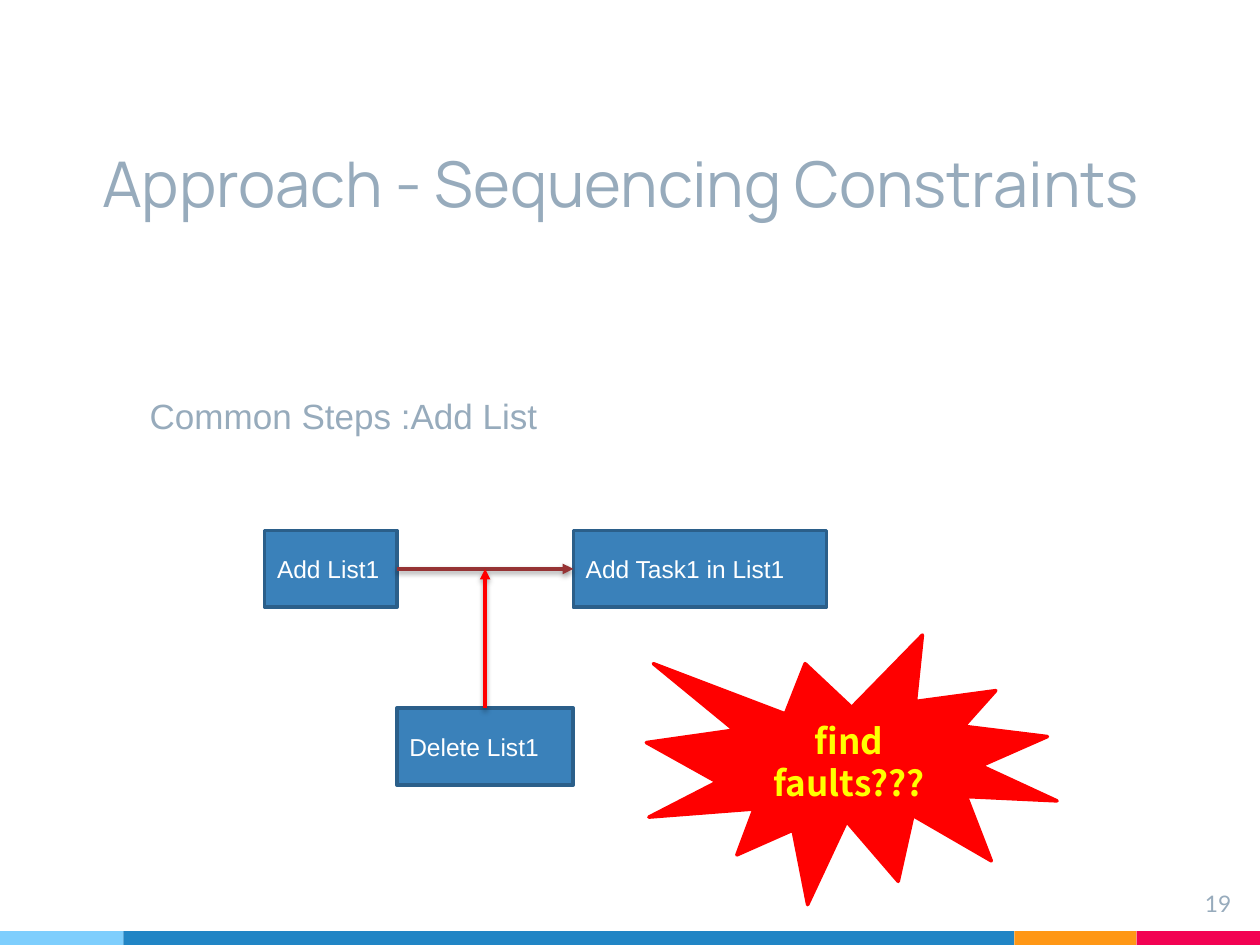
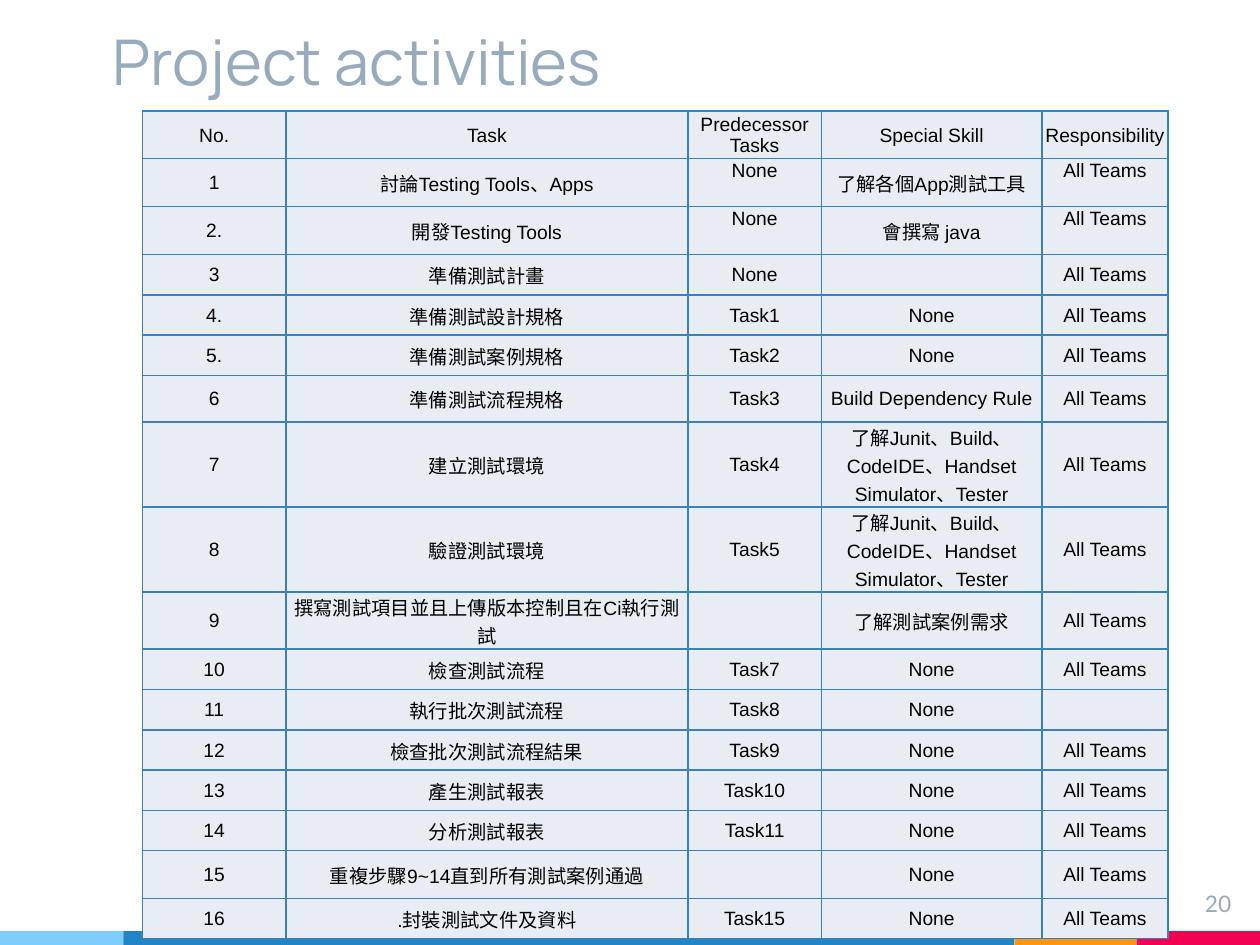
from lxml import etree
from pptx import Presentation
from pptx.dml.color import RGBColor
from pptx.enum.shapes import MSO_CONNECTOR, MSO_SHAPE
from pptx.enum.text import MSO_ANCHOR, MSO_AUTO_SIZE, PP_ALIGN
from pptx.oxml import parse_xml
from pptx.oxml.ns import nsdecls, qn
from pptx.util import Inches, Pt

RECT, BURST = MSO_SHAPE.RECTANGLE, MSO_SHAPE.EXPLOSION1
LEFT, CENTER, RIGHT = PP_ALIGN.LEFT, PP_ALIGN.CENTER, PP_ALIGN.RIGHT
TOP, MIDDLE, BOTTOM = MSO_ANCHOR.TOP, MSO_ANCHOR.MIDDLE, MSO_ANCHOR.BOTTOM

W, H = 10, 7.5
COLORS = {
    "grey": "97ABBC", "white": "FFFFFF", "black": "000000",
    "sky": "7ECEFD", "blue": "2185C5", "orange": "FF9715", "pink": "F20253",
    "box": "3A81BA", "box_line": "2B5F8A", "cell": "E8EDF3",
    "maroon": "963334", "red": "FF0000", "yellow": "FFFF00",
}
BAND_H = 0.11
BANDS = [("sky", 0.98), ("blue", 7.07), ("orange", 0.97), ("pink", 0.98)]


def write(tf, text, size, font, color, align=LEFT, bold=False):
    """Fill a text frame, one paragraph per line of text."""
    for i, line in enumerate(text.split("\n")):
        p = tf.add_paragraph() if i else tf.paragraphs[0]
        p.alignment = align
        r = p.add_run()
        r.text = line
        r.font.size, r.font.name, r.font.bold = Pt(size), font, bold
        r.font.color.rgb = RGBColor.from_string(COLORS[color])
        ea = etree.SubElement(r.font._element, qn("a:ea"))
        ea.set("typeface", "Noto Sans CJK SC")


def add_block(s, kind, x, y, w, h, fill, line=None):
    """Add a flat filled shape with an optional 2 pt outline."""
    sp = s.shapes.add_shape(kind, Inches(x), Inches(y), Inches(w), Inches(h))
    sp.shadow.inherit = False
    sp.fill.solid()
    sp.fill.fore_color.rgb = RGBColor.from_string(COLORS[fill])
    if line:
        sp.line.color.rgb = RGBColor.from_string(COLORS[line])
        sp.line.width = Pt(2)
    else:
        sp.line.fill.background()
    sp.text_frame.vertical_anchor = MIDDLE
    return sp


prs = Presentation()
prs.slide_width, prs.slide_height = Inches(W), Inches(H)

# Shared frame: bands, title and slide number
TITLES = [
    ("Approach - Sequencing Constraints", (0.71, 0.6, 9.04, 1.25)),
    ("Project activities", (0.79, 0.31, 8.94, 0.57)),
]
slides = []
for number, (title, place) in enumerate(TITLES, start=19):
    s = prs.slides.add_slide(prs.slide_layouts[5])
    slides.append(s)
    x = 0
    for color, width in BANDS:
        add_block(s, RECT, x, H - BAND_H, width, BAND_H, color)
        x += width

    sp = s.shapes.title
    sp.left, sp.top, sp.width, sp.height = map(Inches, place)
    write(sp.text_frame, title, 36, "Manrope", "grey")
    page = s.shapes.add_textbox(Inches(9.27), Inches(6.96), Inches(0.6), Inches(0.46))
    write(page.text_frame, str(number), 13, "Lato", "grey", RIGHT)
    for tf, anchor in ((sp.text_frame, BOTTOM), (page.text_frame, TOP)):
        tf.word_wrap, tf.auto_size, tf.vertical_anchor = True, MSO_AUTO_SIZE.NONE, anchor
        tf.margin_left = tf.margin_right = tf.margin_top = tf.margin_bottom = Inches(0.1)

# Slide 1: sequence of steps
s = slides[0]
sp = s.shapes.add_textbox(Inches(1.09), Inches(3.08), Inches(3.3), Inches(0.44))
sp.text_frame.word_wrap = False
sp.text_frame.auto_size = MSO_AUTO_SIZE.SHAPE_TO_FIT_TEXT
write(sp.text_frame, "Common Steps :Add List", 20, "Arial", "grey")

ROW_1, ROW_2, BOX_H = 4.21, 5.62, 0.61
STEPS = [
    ("Add List1", 2.1, ROW_1, 1.05),
    ("Add Task1 in List1", 4.55, ROW_1, 2.01),
    ("Delete List1", 3.15, ROW_2, 1.4),
]
for text, x, y, w in STEPS:
    sp = add_block(s, RECT, x, y, w, BOX_H, "box", "box_line")
    write(sp.text_frame, text, 14, "Arial", "white")

# Arrows: list to task, and the deletion that cuts in between
MID_X, MID_Y = 3.85, ROW_1 + BOX_H / 2
ARROWS = [
    ("maroon", 3.15, MID_Y, 4.55, MID_Y),
    ("red", MID_X, ROW_2, MID_X, MID_Y),
]
for color, *ends in ARROWS:
    cx = s.shapes.add_connector(MSO_CONNECTOR.STRAIGHT, *map(Inches, ends))
    cx.line.color.rgb = RGBColor.from_string(COLORS[color])
    cx.line.width = Pt(2)
    etree.SubElement(cx.line._get_or_add_ln(), qn("a:tailEnd")).set("type", "triangle")
    cx._element.spPr.append(parse_xml(
        f'<a:effectLst {nsdecls("a")}><a:outerShdw blurRad="{Pt(3.1)}" dist="{Pt(1.6)}" '
        f'dir="5400000" rotWithShape="0"><a:srgbClr val="{COLORS["black"]}">'
        '<a:alpha val="38000"/></a:srgbClr></a:outerShdw></a:effectLst>'))

sp = add_block(s, BURST, 5.13, 5.04, 3.26, 2.14, "red", "red")
write(sp.text_frame, "find faults???", 20, "Noto Sans CJK SC", "yellow", CENTER, True)

# Slide 2: activity table
s = slides[1]
TEAM = "All Teams"
TOOLS = "了解Junit、Build、CodeIDE、Handset Simulator、Tester"
COLS = [1.14, 3.19, 1.06, 1.75, 1]
ROWS = [
    (0.38, "No.", "Task", "Predecessor\nTasks", "Special Skill", "Responsibility"),
    (0.38, "1", "討論Testing Tools、Apps", "None", "了解各個App測試工具", TEAM),
    (0.38, "2.", "開發Testing Tools", "None", "會撰寫 java", TEAM),
    (0.32, "3", "準備測試計畫", "None", "", TEAM),
    (0.32, "4.", "準備測試設計規格", "Task1", "None", TEAM),
    (0.32, "5.", "準備測試案例規格", "Task2", "None", TEAM),
    (0.37, "6", "準備測試流程規格", "Task3", "Build Dependency Rule", TEAM),
    (0.51, "7", "建立測試環境", "Task4", TOOLS, TEAM),
    (0.51, "8", "驗證測試環境", "Task5", TOOLS, TEAM),
    (0.38, "9", "撰寫測試項目並且上傳版本控制且在Ci執行測試", "", "了解測試案例需求", TEAM),
    (0.32, "10", "檢查測試流程", "Task7", "None", TEAM),
    (0.32, "11", "執行批次測試流程", "Task8", "None", ""),
    (0.32, "12", "檢查批次測試流程結果", "Task9", "None", TEAM),
    (0.32, "13", "產生測試報表", "Task10", "None", TEAM),
    (0.32, "14", "分析測試報表", "Task11", "None", TEAM),
    (0.38, "15", "重複步驟9~14直到所有測試案例通過", "", "None", TEAM),
    (0.32, "16", ".封裝測試文件及資料", "Task15", "None", TEAM),
]
TOP_CELLS = {(row, col) for row in (1, 2) for col in (2, 4)}

height = sum(row[0] for row in ROWS)
table = s.shapes.add_table(len(ROWS), len(COLS), Inches(1.13), Inches(0.88),
                           Inches(sum(COLS)), Inches(height)).table
table.first_row = table.horz_banding = False
for col, width in zip(table.columns, COLS):
    col.width = Inches(width)
for i, (row_h, *texts) in enumerate(ROWS):
    table.rows[i].height = Inches(row_h)
    for j, text in enumerate(texts):
        cell = table.cell(i, j)
        cell.margin_left = cell.margin_right = cell.margin_top = Inches(0.01)
        cell.margin_bottom = 0
        cell.vertical_anchor = TOP if (i, j) in TOP_CELLS else MIDDLE
        for side in "LRTB":
            cell._tc.get_or_add_tcPr().append(parse_xml(
                f'<a:ln{side} {nsdecls("a")} w="{Pt(1)}"><a:solidFill>'
                f'<a:srgbClr val="{COLORS["box"]}"/></a:solidFill></a:ln{side}>'))
        cell.fill.solid()
        cell.fill.fore_color.rgb = RGBColor.from_string(COLORS["cell"])
        if text:
            write(cell.text_frame, text, 11, "Arial", "black", CENTER)

prs.save("out.pptx")
